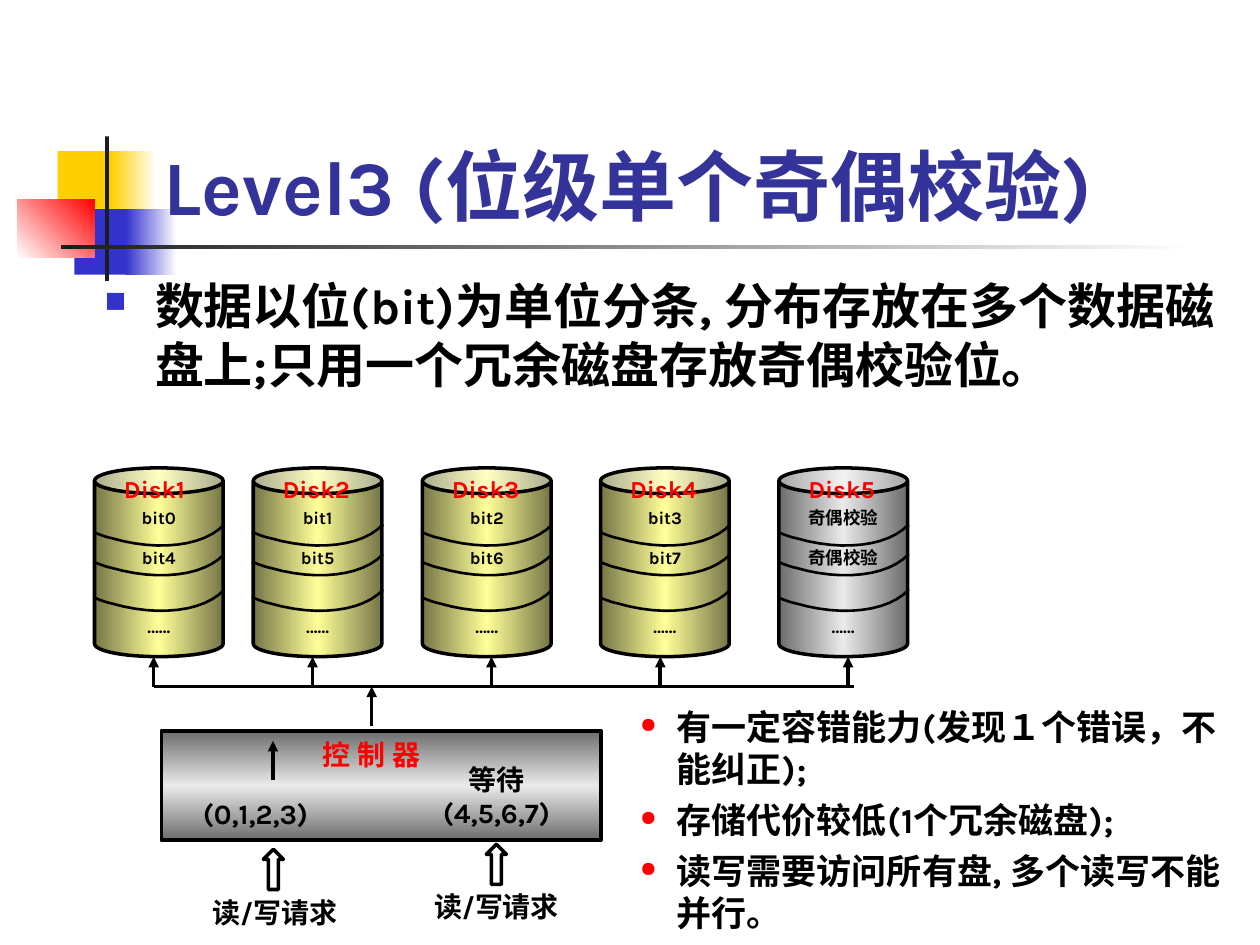
from copy import deepcopy

from lxml import etree
from pptx import Presentation
from pptx.dml.color import RGBColor
from pptx.enum.shapes import MSO_CONNECTOR, MSO_SHAPE
from pptx.enum.text import MSO_ANCHOR, PP_ALIGN
from pptx.oxml.ns import qn
from pptx.util import Pt

RECT, CAN, UP_ARROW = MSO_SHAPE.RECTANGLE, MSO_SHAPE.CAN, MSO_SHAPE.UP_ARROW
STRAIGHT = MSO_CONNECTOR.STRAIGHT
LEFT, CENTER = PP_ALIGN.LEFT, PP_ALIGN.CENTER
TOP, MIDDLE, BOTTOM = MSO_ANCHOR.TOP, MSO_ANCHOR.MIDDLE, MSO_ANCHOR.BOTTOM

FONT = "Karla"
COLORS = {
    "black": "000000", "white": "FFFFFF", "red": "FF0000", "title": "333399",
    "yellow": "FFCF01", "blue": "3333CC", "rule": "1C1C1C",
    "olive": "767647", "cream": "FFFF99", "gray": "6C6C6C", "silver": "EAEAEA",
}

# Left, top, width, height; gradient colours; gradient angle
ORNAMENTS = [
    ((33, 86.4, 34.5, 37.4), ["yellow"], 0),
    ((63.4, 86.4, 26, 37.4), ["yellow", "white"], 0),
    ((42.5, 119.5, 33, 37.4), ["blue"], 0),
    ((72, 119.5, 29, 37.4), ["blue", "white"], 0),
    ((9.8, 113.8, 44.4, 33.4), ["white", "red"], 45),
    ((60, 78, 2.3, 82.6), ["rule"], 0),
    ((34.9, 140, 648, 2.5), ["rule", "white"], 0),
]

DATA_DISK = ["olive", "cream", "olive"]
PARITY_DISK = ["gray", "silver", "gray"]
# Name, left, x of the arrow from the bus, stored blocks, colours
DISKS = [
    ("Disk1", 54, 87.8, ["bit0", "bit4"], DATA_DISK),
    ("Disk2", 144.7, 178.6, ["bit1", "bit5"], DATA_DISK),
    ("Disk3", 241.4, 280.8, ["bit2", "bit6"], DATA_DISK),
    ("Disk4", 343.2, 377.3, ["bit3", "bit7"], DATA_DISK),
    ("Disk5", 445.1, 484.6, ["奇偶校验", "奇偶校验"], PARITY_DISK),
]
DISK_TOP, DISK_WIDTH, DISK_HEIGHT = 267.4, 73.5, 107.9
BUS_Y, BUS_LEFT, BUS_RIGHT = 392.3, 87.8, 488.2

# Two joined Bezier curves, relative to a disk's left and the band's top
BAND_CURVES = [
    [(74.2, 0), (62.6, 12.6), (36, 15.5), (10, 7.9)],
    [(10, 7.9), (6.5, 7.2), (2.9, 5.8), (-0.7, 4.3)],
]
BAND_TOPS = [299.7, 316.7, 337]

CONTROLLER = (92.2, 417.6, 251.3, 62.6)
REQUEST_ARROWS = [(150.5, 485.3, 11.5, 23), (277.9, 482.4, 11.5, 23)]

TITLE = ["Level3 (位级单个奇偶校验)"]
SUMMARY = ["数据以位(bit)为单位分条, 分布存放在多个数据磁盘上;只用一个冗余磁盘存放奇偶校验位。"]
FEATURES = [
    "有一定容错能力(发现１个错误，不能纠正);",
    "存储代价较低(1个冗余磁盘);",
    "读写需要访问所有盘, 多个读写不能并行。",
]
# Box, lines, colour, alignment
CONTROLLER_LABELS = [
    ((184.3, 421.2, 62.6, 38), ["控 制 器"], "red", LEFT),
    ((115.9, 455, 82, 19.4), ["(0,1,2,3)"], "black", LEFT),
    ((241.2, 435.6, 85, 38), ["等待", "(4,5,6,7)"], "black", CENTER),
    ((115.9, 511.9, 82, 19.4), ["读/写请求"], "black", CENTER),
    ((244.1, 508.3, 79.2, 19.4), ["读/写请求"], "black", CENTER),
]


def rgb(name):
    return RGBColor.from_string(COLORS[name])


def points(*values):
    return [Pt(value) for value in values]


def set_values(target, values):
    for name, value in values.items():
        setattr(target, name, value)


def paint(shape, colors, angle=0):
    if len(colors) == 1:
        shape.fill.solid()
        shape.fill.fore_color.rgb = rgb(colors[0])
        return
    shape.fill.gradient()
    shape.fill.gradient_angle = angle
    stop_list = shape.element.spPr.find(".//" + qn("a:gsLst"))
    while len(stop_list) < len(colors):
        stop_list.append(deepcopy(stop_list[-1]))
    for i, (stop, color) in enumerate(zip(shape.fill.gradient_stops, colors)):
        stop.color.rgb = rgb(color)
        stop.position = i / (len(colors) - 1)


def outline(shape, width=2):
    shape.line.color.rgb = rgb("black")
    shape.line.width = Pt(width)


def add_block(slide, kind, box, colors=None, angle=0, line=True):
    shape = slide.shapes.add_shape(kind, *points(*box))
    shape.shadow.inherit = False
    if colors:
        paint(shape, colors, angle)
    else:
        shape.fill.background()
    if line:
        outline(shape)
    else:
        shape.line.fill.background()
    return shape


def add_bullet(paragraph, char, color, indent):
    props = paragraph._p.get_or_add_pPr()
    props.set("marL", str(Pt(indent)))
    props.set("indent", str(-Pt(indent)))
    bullet_color = etree.SubElement(props, qn("a:buClr"))
    etree.SubElement(bullet_color, qn("a:srgbClr"), val=COLORS[color])
    etree.SubElement(props, qn("a:buSzPct"), val="60000")
    etree.SubElement(props, qn("a:buChar"), char=char)


def write(frame, lines, size, color="black", align=LEFT, gaps=(), bullet=None,
          spacing=None, **frame_values):
    """Fill a text frame; gaps holds the space before each later line."""
    set_values(frame, {"word_wrap": True, "vertical_anchor": TOP,
                       "margin_left": 0, "margin_right": 0,
                       "margin_top": 0, "margin_bottom": 0, **frame_values})
    for i, line in enumerate(lines):
        paragraph = frame.paragraphs[0] if i == 0 else frame.add_paragraph()
        paragraph.alignment = align
        if spacing:
            paragraph.line_spacing = spacing
        if i and gaps:
            paragraph.space_before = Pt(gaps[i - 1])
        if bullet:
            add_bullet(paragraph, *bullet)
        run = paragraph.add_run()
        run.text = line
        set_values(run.font, {"name": FONT, "size": Pt(size), "bold": True})
        run.font.color.rgb = rgb(color)
        etree.SubElement(run.font._element, qn("a:ea"), typeface=FONT)


def add_text(slide, box, lines, size, **options):
    write(slide.shapes.add_textbox(*points(*box)).text_frame, lines, size, **options)


def add_line(slide, start, end, arrow=True):
    line = slide.shapes.add_connector(STRAIGHT, *points(*start, *end))
    outline(line)
    etree.SubElement(line.element.spPr, qn("a:effectLst"))
    if arrow:
        etree.SubElement(line.line._get_or_add_ln(), qn("a:tailEnd"), type="triangle")


def bezier(curve, t):
    weights = ((1 - t) ** 3, 3 * t * (1 - t) ** 2, 3 * t * t * (1 - t), t ** 3)
    return [sum(w * p[axis] for w, p in zip(weights, curve)) for axis in (0, 1)]


def add_band(slide, left, top, steps=12):
    curve_points = [bezier(curve, i / steps) for curve in BAND_CURVES
                    for i in range(steps + 1)]
    placed = [points(left + x, top + y) for x, y in curve_points]
    builder = slide.shapes.build_freeform(*placed[0], scale=1.0)
    builder.add_line_segments(placed[1:], close=False)
    band = builder.convert_to_shape()
    band.shadow.inherit = False
    band.fill.background()
    outline(band, 1.5)


def add_disk(slide, name, left, blocks, colors):
    disk = add_block(slide, CAN, (left, DISK_TOP, DISK_WIDTH, DISK_HEIGHT), colors)
    disk.adjustments[0] = 0.2
    write(disk.text_frame, blocks + ["……"], 10, align=CENTER, gaps=(4, 20),
          spacing=1.6, word_wrap=False, vertical_anchor=MIDDLE,
          margin_left=Pt(7.2), margin_right=Pt(7.2), margin_bottom=Pt(3.6))
    add_text(slide, (left + 16.8, 270.8, 39.6, 16.6), [name], 14, color="red")
    for top in BAND_TOPS:
        add_band(slide, left, top)


def main():
    deck = Presentation()
    deck.slide_width, deck.slide_height = Pt(720), Pt(540)
    slide = deck.slides.add_slide(deck.slide_layouts[6])

    for box, colors, angle in ORNAMENTS:
        add_block(slide, RECT, box, colors, angle, line=False)
    add_text(slide, (93.6, 25.9, 550, 105.8), TITLE, 44, color="title",
             vertical_anchor=BOTTOM)
    add_text(slide, (59.8, 157.7, 635, 67), SUMMARY, 28, bullet=("■", "blue", 28.8))

    for name, left, drop_x, blocks, colors in DISKS:
        add_disk(slide, name, left, blocks, colors)
        add_line(slide, (drop_x, BUS_Y), (drop_x, DISK_TOP + DISK_HEIGHT))
    add_line(slide, (BUS_LEFT, BUS_Y), (BUS_RIGHT, BUS_Y), arrow=False)
    add_line(slide, (212.4, 414.7), (212.4, BUS_Y))

    add_block(slide, RECT, CONTROLLER, PARITY_DISK, 90)
    add_line(slide, (156, 445.7), (156, 423.4))
    for box in REQUEST_ARROWS:
        add_block(slide, UP_ARROW, box)
    for box, lines, color, align in CONTROLLER_LABELS:
        add_text(slide, box, lines, 16, color=color, align=align)
    add_text(slide, (365.8, 403.2, 340.6, 130.3), FEATURES, 20, gaps=(5, 5),
             bullet=("●", "red", 20.9))

    deck.save("out.pptx")


if __name__ == "__main__":
    main()
